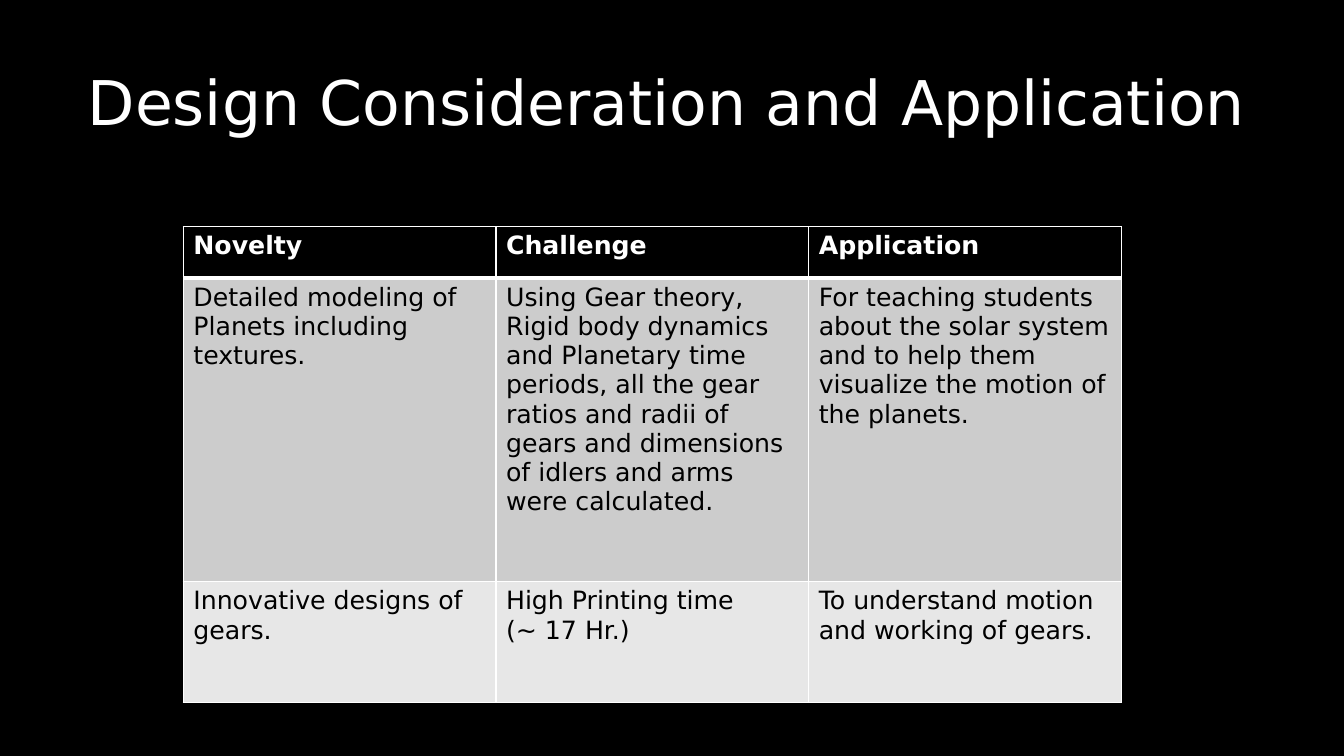
from lxml import etree
from pptx import Presentation
from pptx.dml.color import RGBColor
from pptx.enum import text
from pptx.oxml import ns
from pptx.util import Cm, Pt

# Content
TITLE = "Design Consideration and Application"
ROWS = [
    ["Novelty", "Challenge", "Application"],
    ["Detailed modeling of Planets including textures.",
     "Using Gear theory, Rigid body dynamics and Planetary time periods, "
     "all the gear ratios and radii of gears and dimensions of idlers and "
     "arms were calculated.",
     "For teaching students about the solar system and to help them "
     "visualize the motion of the planets."],
    ["Innovative designs of gears.",
     "High Printing time\n(~ 17 Hr.)",
     "To understand motion and working of gears."],
]

# Style
FONT = "DejaVu Sans"
BLACK = RGBColor(0x00, 0x00, 0x00)
WHITE = RGBColor(0xFF, 0xFF, 0xFF)
ROW_FILLS = [BLACK, RGBColor(0xCC, 0xCC, 0xCC), RGBColor(0xE7, 0xE7, 0xE7)]
ROW_HEIGHTS = [Cm(1.29), Cm(7.65), Cm(3.05)]
COL_WIDTH = Cm(7.88)


def add_run(p, words, size, color, bold=False):
    r = p.add_run()
    r.text = words
    r.font.name, r.font.size, r.font.bold = FONT, Pt(size), bold
    r.font.color.rgb = color


def set_borders(cell, widths):
    """Draw white left, right, top and bottom borders, in points."""
    tcPr = cell._tc.get_or_add_tcPr()
    for i, (side, width) in enumerate(zip("LRTB", widths)):
        ln = etree.Element(ns.qn(f"a:ln{side}"), w=str(Pt(width)))
        fill = etree.SubElement(ln, ns.qn("a:solidFill"))
        etree.SubElement(fill, ns.qn("a:srgbClr"), val=str(WHITE))
        tcPr.insert(i, ln)


# Slide
prs = Presentation()
prs.slide_width, prs.slide_height = Cm(33.87), Cm(19.05)
s = prs.slides.add_slide(prs.slide_layouts[6])
s.background.fill.solid()
s.background.fill.fore_color.rgb = BLACK

# Title
tf = s.shapes.add_textbox(Cm(1.96), Cm(1.7), Cm(30.96), Cm(3.5)).text_frame
tf.word_wrap = True
tf.vertical_anchor = text.MSO_ANCHOR.TOP
p = tf.paragraphs[0]
p.line_spacing = 0.9
add_run(p, TITLE, 44, WHITE)

# Table
n_rows, n_cols = len(ROWS), len(ROWS[0])
table = s.shapes.add_table(n_rows, n_cols, Cm(4.62), Cm(5.71),
                           COL_WIDTH * n_cols, sum(ROW_HEIGHTS)).table
for col in table.columns:
    col.width = COL_WIDTH
for i, row in enumerate(ROWS):
    table.rows[i].height = ROW_HEIGHTS[i]
    header = i == 0
    for j, words in enumerate(row):
        cell = table.cell(i, j)
        cell.fill.solid()
        cell.fill.fore_color.rgb = ROW_FILLS[i]
        set_borders(cell, (1, 1, 3 if i == 1 else 1, 3 if header else 1))
        tf = cell.text_frame
        for k, line in enumerate(words.split("\n")):
            p = tf.add_paragraph() if k else tf.paragraphs[0]
            add_run(p, line, 18, WHITE if header else BLACK, header)

prs.save("out.pptx")
